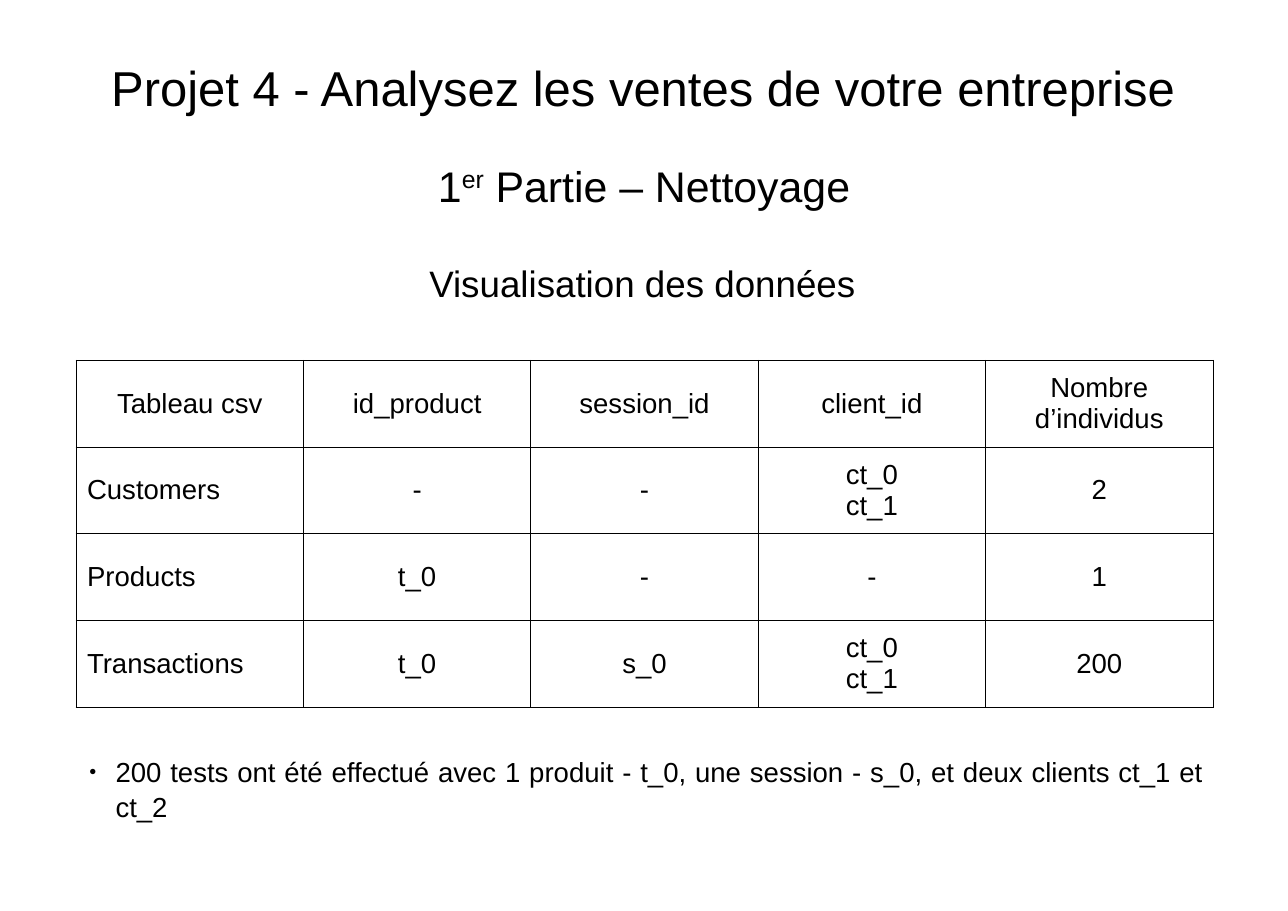
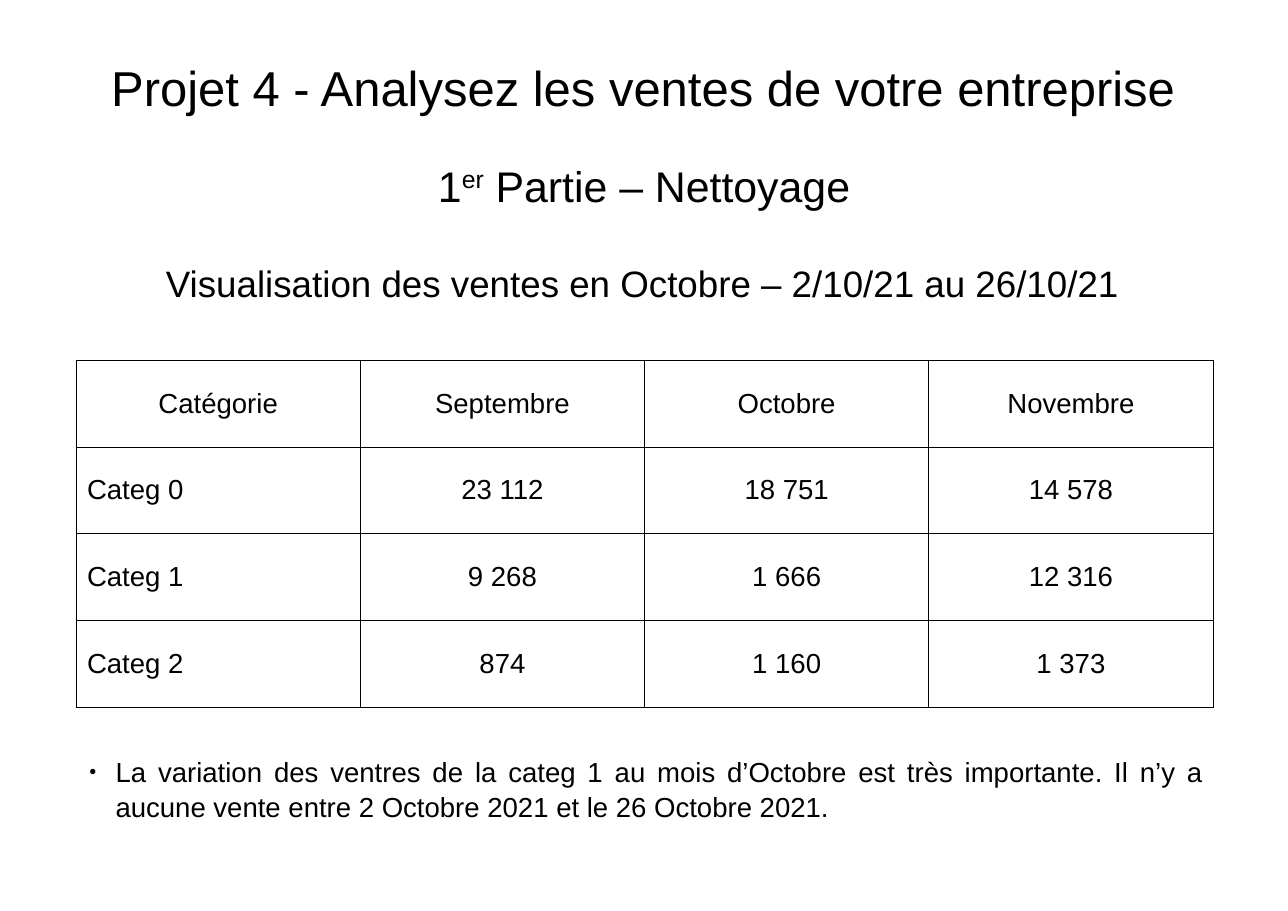
"""Build two slides on data cleaning, each with headings, a table and a remark."""
import dataclasses

import lxml.etree
import pptx
import pptx.dml.color
import pptx.enum.text
import pptx.oxml.ns
import pptx.util

Inches = pptx.util.Inches
Pt = pptx.util.Pt
Align = pptx.enum.text.PP_ALIGN
Anchor = pptx.enum.text.MSO_ANCHOR
qn = pptx.oxml.ns.qn


@dataclasses.dataclass(frozen=True)
class Theme:
    font: str = "Arial"
    ink: str = "000000"
    title_size: int = 32
    subtitle_size: int = 28
    topic_size: int = 24
    body_size: int = 18
    border_width: float = 0.57


theme = Theme()


def style_text(text_frame, size, alignment):
    for paragraph in text_frame.paragraphs:
        paragraph.alignment = alignment
        for run in paragraph.runs:
            run.font.name = theme.font
            run.font.size = Pt(size)
            run.font.color.rgb = pptx.dml.color.RGBColor.from_string(theme.ink)


def add_text(slide, box, runs, size, alignment=Align.CENTER, margins=(0, 0), anchor=Anchor.MIDDLE):
    text_frame = slide.shapes.add_textbox(*map(Inches, box)).text_frame
    text_frame.word_wrap = True
    text_frame.vertical_anchor = anchor
    text_frame.margin_left = text_frame.margin_right = Inches(margins[0])
    text_frame.margin_top = text_frame.margin_bottom = Inches(margins[1])
    paragraph = text_frame.paragraphs[0]
    for text in runs:
        paragraph.add_run().text = text
    style_text(text_frame, size, alignment)
    return paragraph


table_left, table_top, table_width, table_height = 0.69, 3.27, 10.32, 3.15

slides = [
    {
        "topic": "Visualisation des données",
        "rows": [
            ["Tableau csv", "id_product", "session_id", "client_id", "Nombre d’individus"],
            ["Customers", "-", "-", "ct_0\nct_1", "2"],
            ["Products", "t_0", "-", "-", "1"],
            ["Transactions", "t_0", "s_0", "ct_0\nct_1", "200"],
        ],
        "remark": "200 tests ont été effectué avec 1 produit - t_0, une session - s_0, "
                  "et deux clients ct_1 et ct_2",
    },
    {
        "topic": "Visualisation des ventes en Octobre – 2/10/21 au 26/10/21",
        "rows": [
            ["Catégorie", "Septembre", "Octobre", "Novembre"],
            ["Categ 0", "23 112", "18 751", "14 578"],
            ["Categ 1", "9 268", "1 666", "12 316"],
            ["Categ 2", "874", "1 160", "1 373"],
        ],
        "remark": "La variation des ventres de la categ 1 au mois d’Octobre est très importante. "
                  "Il n’y a aucune vente entre 2 Octobre 2021 et le 26 Octobre 2021.",
    },
]

presentation = pptx.Presentation()
presentation.slide_width = Inches(11.69)
presentation.slide_height = Inches(8.27)

for content in slides:
    slide = presentation.slides.add_slide(presentation.slide_layouts[6])

    add_text(slide, (0.94, 0.32, 9.81, 0.94),
             ["Projet 4 - Analysez les ventes de votre entreprise"], theme.title_size)
    subtitle = add_text(slide, (0.94, 1.26, 9.81, 0.85),
                        ["1", "er", " Partie – Nettoyage"], theme.subtitle_size)
    subtitle.runs[1].font._element.set("baseline", "33000")
    add_text(slide, (0.71, 2.14, 10.24, 0.85), [content["topic"]], theme.topic_size)

    rows = content["rows"]
    table = slide.shapes.add_table(
        len(rows), len(rows[0]), Inches(table_left), Inches(table_top),
        Inches(table_width), Inches(table_height)).table
    table.first_row = False
    table.horz_banding = False
    for row_index, row in enumerate(rows):
        for column_index, text in enumerate(row):
            cell = table.cell(row_index, column_index)
            cell.text_frame.text = text
            cell.vertical_anchor = Anchor.MIDDLE
            cell.fill.background()
            is_row_label = row_index > 0 and column_index == 0
            style_text(cell.text_frame, theme.body_size, Align.LEFT if is_row_label else Align.CENTER)
            cell_properties = cell._tc.get_or_add_tcPr()
            for position, side in enumerate(("a:lnL", "a:lnR", "a:lnT", "a:lnB")):
                border = lxml.etree.Element(qn(side), w=str(Pt(theme.border_width)))
                border_fill = lxml.etree.SubElement(border, qn("a:solidFill"))
                lxml.etree.SubElement(border_fill, qn("a:srgbClr"), val=theme.ink)
                cell_properties.insert(position, border)

    remark = add_text(slide, (0.71, 6.79, 10.31, 0.66), [content["remark"]], theme.body_size,
                      Align.JUSTIFY, (0.1, 0.05), Anchor.TOP)
    remark.line_spacing = 1.05
    remark_properties = remark._p.get_or_add_pPr()
    remark_properties.set("marL", str(Inches(0.24)))
    remark_properties.set("indent", str(Inches(-0.24)))
    bullet_color = lxml.etree.SubElement(remark_properties, qn("a:buClr"))
    lxml.etree.SubElement(bullet_color, qn("a:srgbClr"), val=theme.ink)
    lxml.etree.SubElement(remark_properties, qn("a:buSzPct"), val="45000")
    lxml.etree.SubElement(remark_properties, qn("a:buFont"), typeface=theme.font)
    lxml.etree.SubElement(remark_properties, qn("a:buChar"), char="●")

presentation.save("out.pptx")
